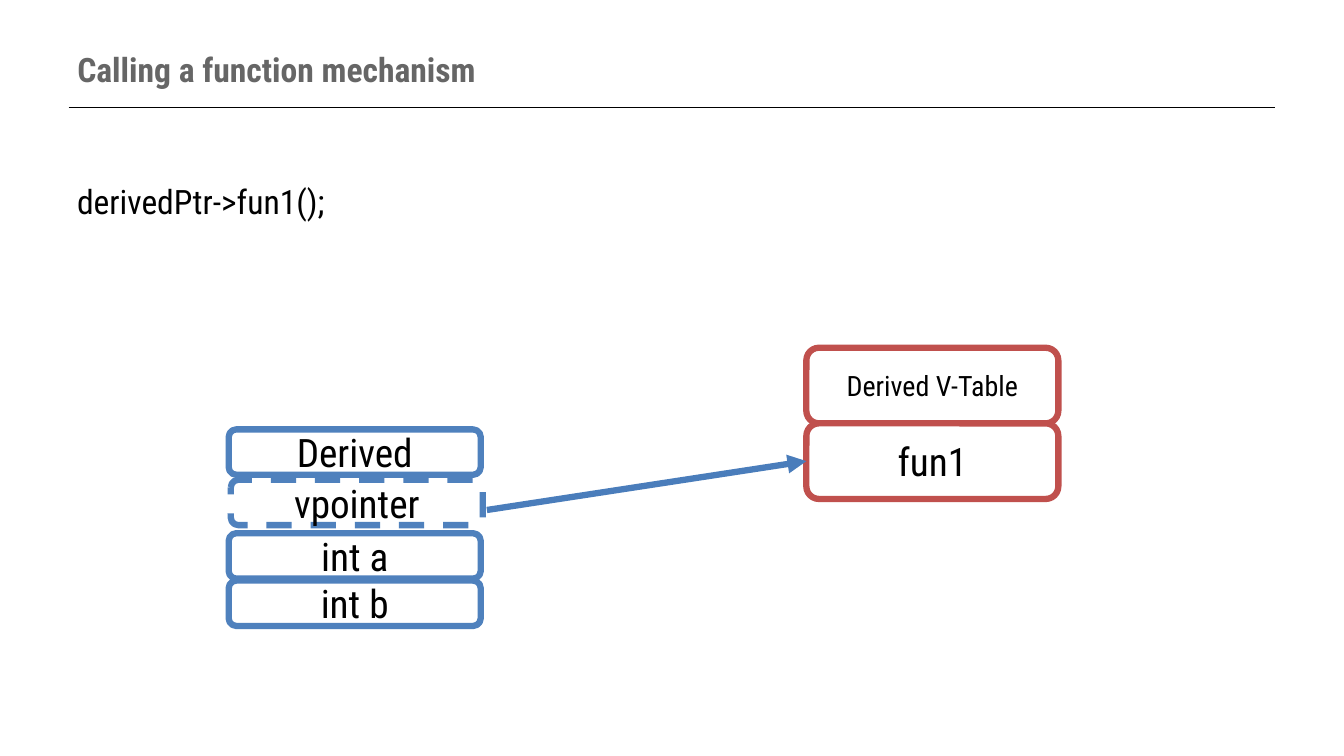
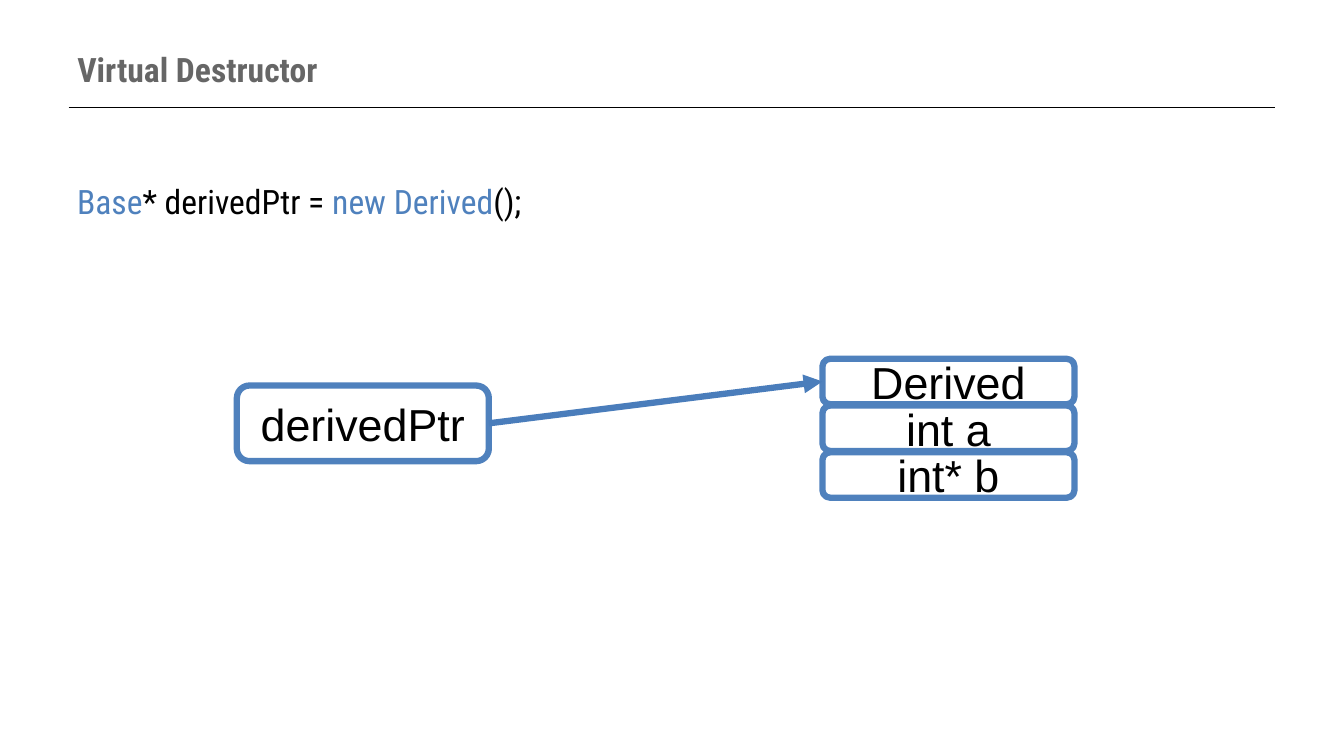
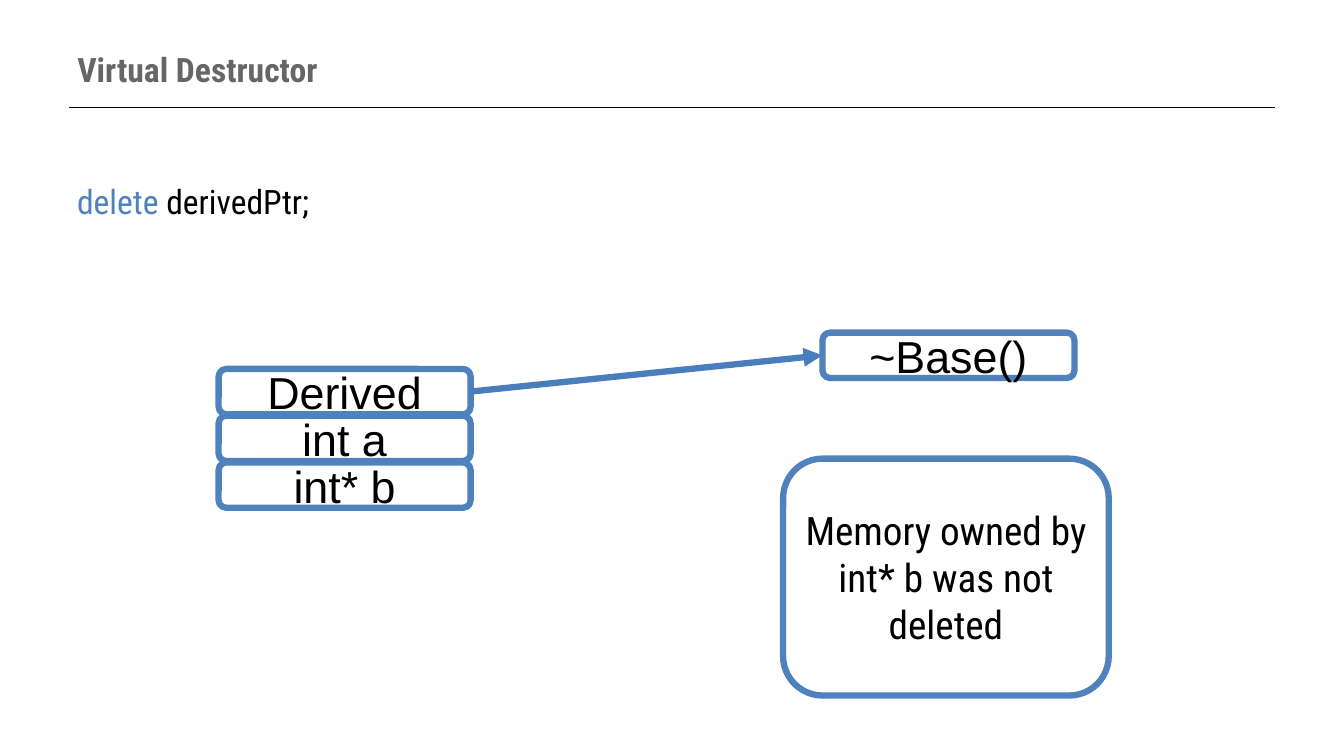
from dataclasses import dataclass

from lxml.etree import SubElement
from pptx import Presentation
from pptx.dml.color import RGBColor
from pptx.enum.dml import MSO_LINE
from pptx.enum.shapes import MSO_CONNECTOR, MSO_SHAPE
from pptx.enum.text import MSO_ANCHOR, PP_ALIGN
from pptx.oxml.ns import qn
from pptx.util import Pt

TOP, LEFT, BOTTOM, RIGHT = range(4)


@dataclass(frozen=True)
class Theme:
    black: RGBColor = RGBColor(0x00, 0x00, 0x00)
    white: RGBColor = RGBColor(0xFF, 0xFF, 0xFF)
    grey: RGBColor = RGBColor(0x66, 0x66, 0x66)
    blue: RGBColor = RGBColor(0x4F, 0x81, 0xBD)
    red: RGBColor = RGBColor(0xC0, 0x50, 0x4D)
    arrow: RGBColor = RGBColor(0x4A, 0x7D, 0xBB)
    condensed: str = "Roboto Condensed"
    plain: str = "Arial"
    heading_size: int = 24
    small_size: int = 20
    box_size: int = 28
    large_size: int = 32
    border: float = 4.5
    hairline: float = 0.75
    box_width: float = 180
    row_height: float = 32.4
    tall_height: float = 54
    row_pitch: float = 33.4


class Deck:
    def __init__(self, theme):
        self.theme = theme
        self.presentation = Presentation()
        self.presentation.slide_width = Pt(960)
        self.presentation.slide_height = Pt(540)
        self.slide = None

    def add_slide(self, title, code):
        """Start a slide with its title, rule and line of code."""
        layout = self.presentation.slide_layouts[5]
        self.slide = self.presentation.slides.add_slide(layout)
        self.line((49, 77), (910.8, 77), self.theme.black, self.theme.hairline)
        self.code(code)
        self.title(title)

    def format(self, paragraph, size, font, color=None, bold=False):
        paragraph.font.size = Pt(size)
        paragraph.font.name = font
        paragraph.font.bold = bold
        if color is not None:
            paragraph.font.color.rgb = color

    def title(self, text):
        shape = self.slide.shapes.title
        shape.left, shape.top, shape.width, shape.height = map(Pt, (48, 21.6, 864, 55.4))
        frame = shape.text_frame
        frame.text = text
        frame.vertical_anchor = MSO_ANCHOR.MIDDLE
        paragraph = frame.paragraphs[0]
        paragraph.alignment = PP_ALIGN.LEFT
        self.format(paragraph, self.theme.heading_size, self.theme.condensed,
                    self.theme.grey, bold=True)

    def code(self, pieces):
        """Write one line of code from (text, color) pieces."""
        shape = self.slide.shapes.add_textbox(*map(Pt, (48, 126, 864, 356.4)))
        shape.text_frame.word_wrap = True
        paragraph = shape.text_frame.paragraphs[0]
        self.format(paragraph, self.theme.heading_size, self.theme.condensed)
        for text, color in pieces:
            run = paragraph.add_run()
            run.text = text
            run.font.color.rgb = color

    def box(self, text, left, top, width=None, height=None, color=None,
            size=None, font=None, dashed=False):
        theme = self.theme
        shape = self.slide.shapes.add_shape(
            MSO_SHAPE.ROUNDED_RECTANGLE, Pt(left), Pt(top),
            Pt(width or theme.box_width), Pt(height or theme.row_height))
        shape.shadow.inherit = False
        shape.fill.solid()
        shape.fill.fore_color.rgb = theme.white
        shape.line.color.rgb = color or theme.blue
        shape.line.width = Pt(theme.border)
        if dashed:
            shape.line.dash_style = MSO_LINE.DASH
        shape.text_frame.text = text
        paragraph = shape.text_frame.paragraphs[0]
        paragraph.alignment = PP_ALIGN.CENTER
        self.format(paragraph, size or theme.box_size, font or theme.condensed, theme.black)
        return shape

    def large_box(self, text, left, top, **options):
        return self.box(text, left, top, size=self.theme.large_size,
                        font=self.theme.plain, **options)

    def derived_object(self, left, top):
        """Stack the rows of a Derived object and return the first."""
        rows = [self.large_box(text, left, top + index * self.theme.row_pitch)
                for index, text in enumerate(("Derived", "int a", "int* b"))]
        return rows[0]

    def line(self, start, end, color, width):
        connector = self.slide.shapes.add_connector(
            MSO_CONNECTOR.STRAIGHT, *map(Pt, (*start, *end)))
        connector.line.color.rgb = color
        connector.line.width = Pt(width)
        SubElement(connector.element.spPr, qn("a:effectLst"))
        return connector

    def arrow(self, target, source=None, start=(0, 0)):
        """Point at the target's left side, from the source's right side or a point."""
        connector = self.line(start, start, self.theme.arrow, self.theme.border)
        if source is not None:
            connector.begin_connect(source, RIGHT)
        connector.end_connect(target, LEFT)
        SubElement(connector.line._get_or_add_ln(), qn("a:tailEnd"), type="triangle")


def add_call_slide(deck):
    theme = deck.theme
    deck.add_slide("Calling a function mechanism", [("derivedPtr->fun1();", theme.black)])
    table_left, table_top = 576, 248.4
    deck.box("Derived V-Table", table_left, table_top, height=theme.tall_height,
             color=theme.red, size=theme.small_size)
    function = deck.box("fun1", table_left, table_top + theme.tall_height,
                        height=theme.tall_height, color=theme.red)
    deck.arrow(function, start=(347.8, 364.3))
    deck.box("vpointer", 164.9, 342.7, dashed=True)
    for text, top in (("Derived", 306.7), ("int b", 414.7), ("int a", 380.9)):
        deck.box(text, 163.4, top)


def add_construction_slide(deck):
    theme = deck.theme
    deck.add_slide("Virtual Destructor", [
        ("Base", theme.blue), ("* derivedPtr = ", theme.black),
        ("new Derived", theme.blue), ("();", theme.black)])
    pointer = deck.large_box("derivedPtr", 169.2, 275.4, height=theme.tall_height)
    derived = deck.derived_object(587.5, 256.3)
    deck.arrow(derived, source=pointer)


def add_deletion_slide(deck):
    theme = deck.theme
    deck.add_slide("Virtual Destructor", [
        ("delete", theme.blue), (" derivedPtr;", theme.black)])
    destructor = deck.large_box("~Base()", 587.5, 237.6)
    derived = deck.derived_object(156.2, 263.5)
    deck.arrow(destructor, source=derived)
    deck.box("Memory owned by int* b was not deleted", 559.4, 327.6,
             width=232.6, height=169.2)


def main():
    deck = Deck(Theme())
    add_call_slide(deck)
    add_construction_slide(deck)
    add_deletion_slide(deck)
    deck.presentation.save("out.pptx")


if __name__ == "__main__":
    main()
